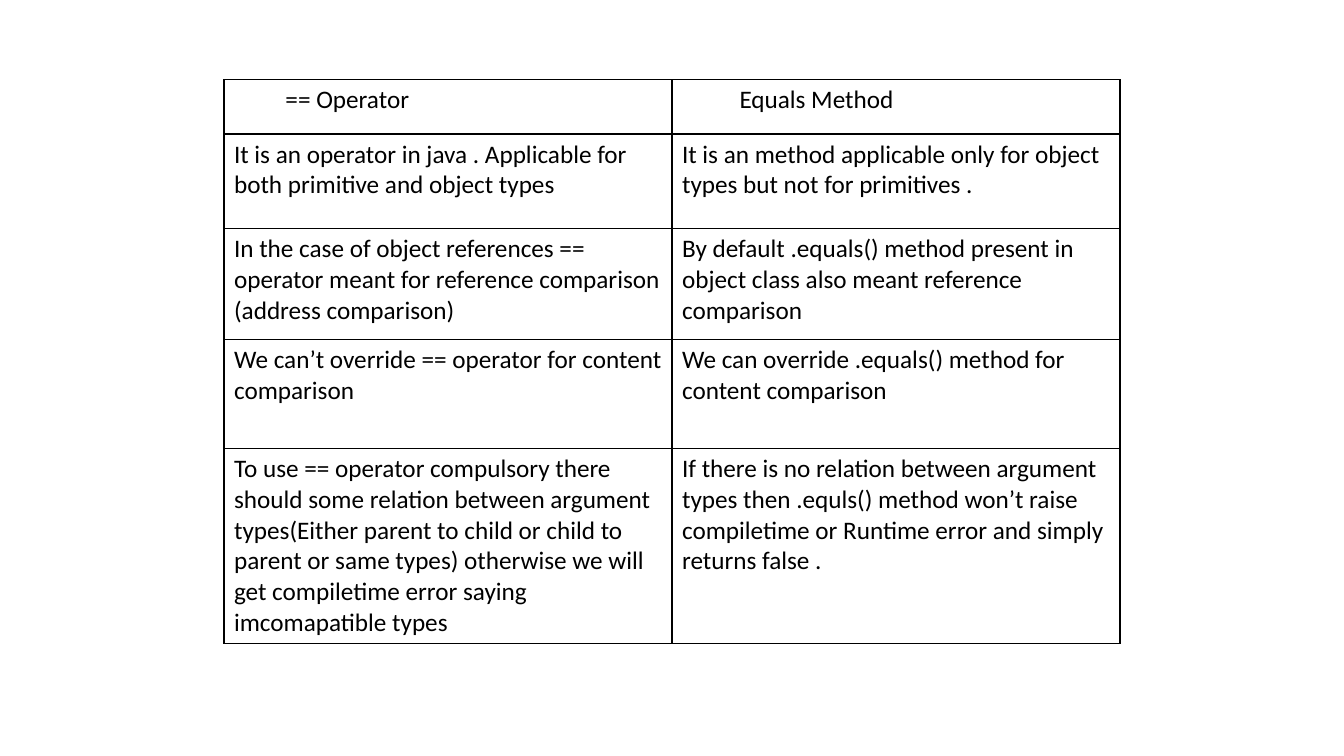
from dataclasses import dataclass

from lxml import etree
from pptx import Presentation
from pptx.dml.color import RGBColor
from pptx.oxml.ns import qn
from pptx.util import Inches, Pt

HEADERS = ("== Operator", "Equals Method")
COMPARISONS = [
    ("It is an operator in java . Applicable for both primitive and object types",
     "It is an method applicable only for object types but not for primitives ."),
    ("In the case of object references == operator meant for reference comparison "
     "(address comparison)",
     "By default .equals() method present in object class also meant reference comparison"),
    ("We can’t override == operator for content comparison",
     "We can override .equals() method for content comparison"),
    ("To use == operator compulsory there should some relation between argument "
     "types(Either parent to child or child to parent or same types) otherwise we will "
     "get compiletime error saying imcomapatible types",
     "If there is no relation between argument types then .equls() method won’t raise "
     "compiletime or Runtime error and simply returns false ."),
]

SLIDE_WIDTH, SLIDE_HEIGHT = 13.33, 7.5
TABLE_LEFT = SLIDE_WIDTH / 6
TABLE_WIDTH = SLIDE_WIDTH * 2 / 3
TABLE_TOP = 0.79
ROW_HEIGHTS = (0.54, 0.94, 1.1, 1.08, 1.92)
CELL_MARGIN = 0.1
HEADER_MARGINS = (0.61, 0.67)
BORDER_SIDES = ("a:lnL", "a:lnR", "a:lnT", "a:lnB")


@dataclass(frozen=True)
class Theme:
    font: str = "Calibri"
    size: int = 18
    ink: str = "000000"
    border_width: int = 1


THEME = Theme()


def write_cell(cell, text, margin_left=CELL_MARGIN):
    cell.margin_left = Inches(margin_left)
    paragraph = cell.text_frame.paragraphs[0]
    run = paragraph.add_run()
    run.text = text
    run.font.name = THEME.font
    run.font.size = Pt(THEME.size)
    run.font.bold = False
    run.font.color.rgb = RGBColor.from_string(THEME.ink)


def draw_borders(cell):
    properties = cell._tc.get_or_add_tcPr()
    for side in BORDER_SIDES:
        line = etree.SubElement(properties, qn(side), w=str(Pt(THEME.border_width)))
        fill = etree.SubElement(line, qn("a:solidFill"))
        etree.SubElement(fill, qn("a:srgbClr"), val=THEME.ink)


def add_comparison_table(slide):
    rows = [HEADERS, *COMPARISONS]
    table = slide.shapes.add_table(
        len(rows), len(HEADERS), Inches(TABLE_LEFT), Inches(TABLE_TOP),
        Inches(TABLE_WIDTH), Inches(sum(ROW_HEIGHTS))).table
    table.first_row = False
    table.horz_banding = False
    for row_index, (texts, height) in enumerate(zip(rows, ROW_HEIGHTS)):
        table.rows[row_index].height = Inches(height)
        margins = HEADER_MARGINS if row_index == 0 else (CELL_MARGIN,) * len(texts)
        for column_index, (text, margin) in enumerate(zip(texts, margins)):
            cell = table.cell(row_index, column_index)
            write_cell(cell, text, margin_left=margin)
            draw_borders(cell)
            cell.fill.background()


def main():
    presentation = Presentation()
    presentation.slide_width = Inches(SLIDE_WIDTH)
    presentation.slide_height = Inches(SLIDE_HEIGHT)
    slide = presentation.slides.add_slide(presentation.slide_layouts[6])
    add_comparison_table(slide)
    presentation.save("out.pptx")


if __name__ == "__main__":
    main()
